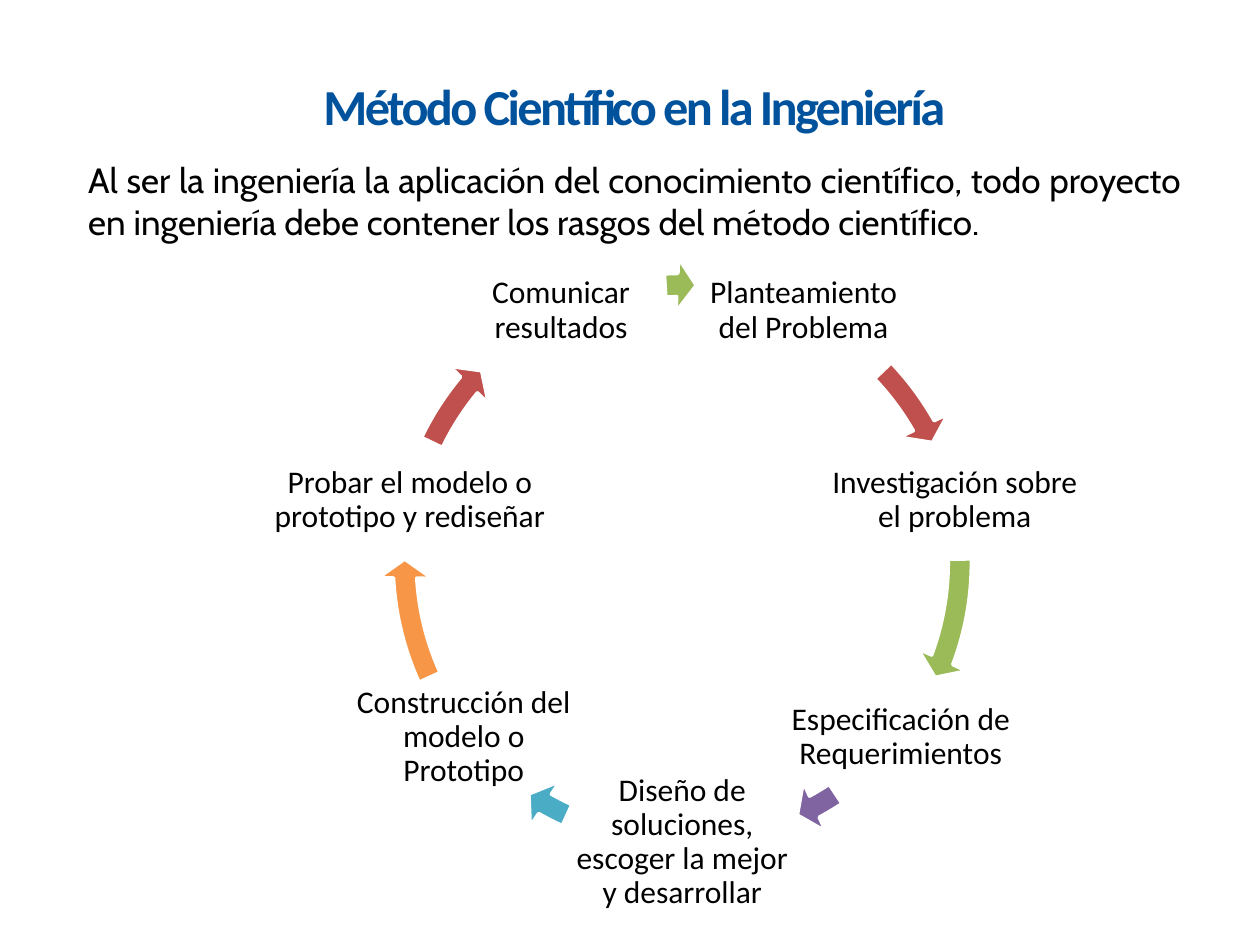
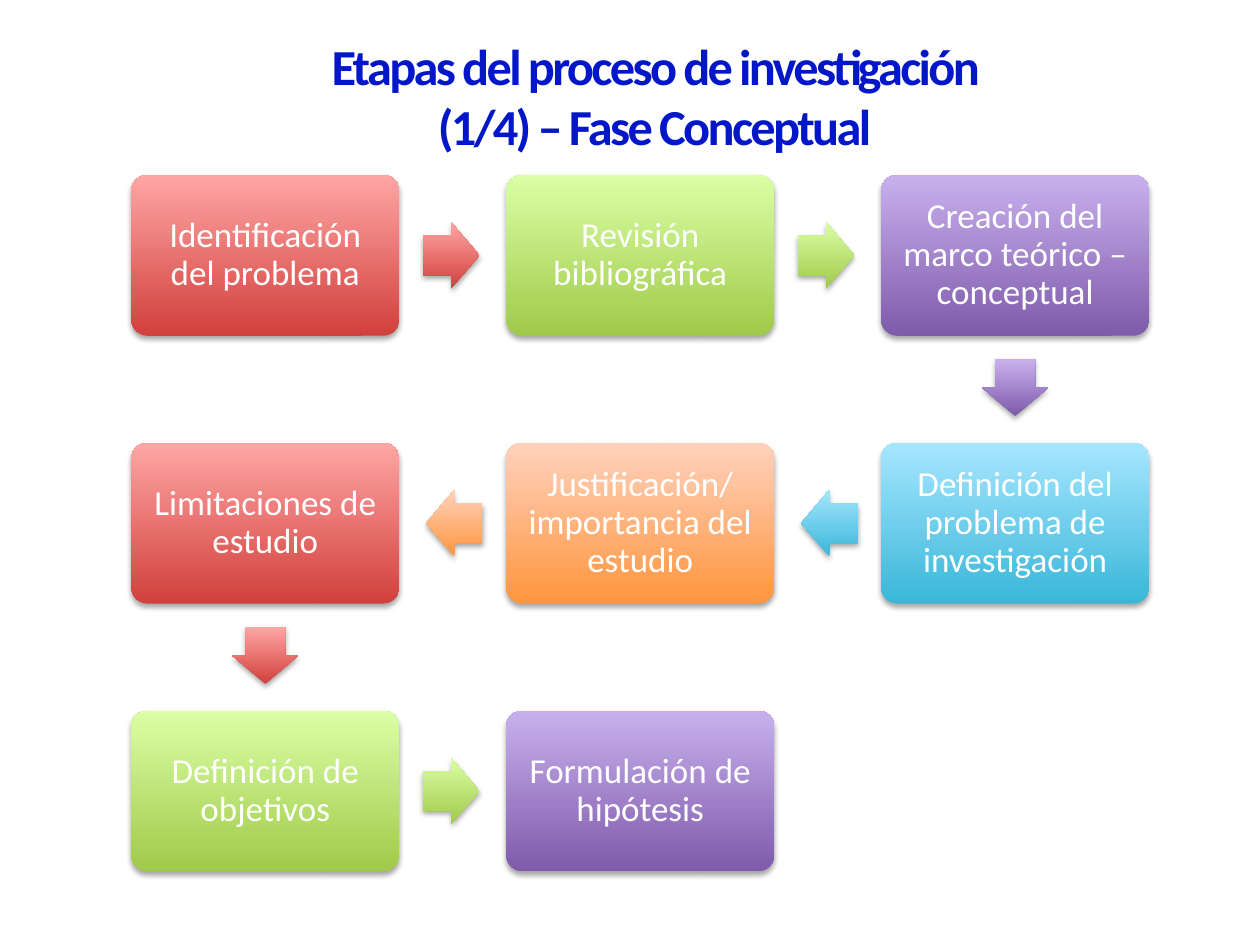
import math
from lxml import etree
from pptx import Presentation
from pptx import util as u
from pptx.dml.color import RGBColor
from pptx.enum import shapes, text
from pptx.oxml import ns

BLACK = RGBColor(0x00, 0x00, 0x00)
WHITE = RGBColor(0xFF, 0xFF, 0xFF)
TITLE_TEAL_BLUE = RGBColor(0x00, 0x52, 0x9C)
TITLE_BRIGHT_BLUE = RGBColor(0x04, 0x17, 0xC8)
RED = RGBColor(0xC0, 0x50, 0x4D)
GREEN = RGBColor(0x9B, 0xBB, 0x59)
PURPLE = RGBColor(0x80, 0x64, 0xA2)
BLUE = RGBColor(0x4B, 0xAC, 0xC6)
ORANGE = RGBColor(0xF7, 0x96, 0x46)
RED_FADE = (RGBColor(0xD1, 0x40, 0x3C), RGBColor(0xFF, 0xA6, 0xA5))
GREEN_FADE = (RGBColor(0xA0, 0xCA, 0x4A), RGBColor(0xDA, 0xFF, 0xA5))
PURPLE_FADE = (RGBColor(0x7F, 0x5B, 0xAB), RGBColor(0xC8, 0xB0, 0xED))
BLUE_FADE = (RGBColor(0x39, 0xB7, 0xD8), RGBColor(0xA7, 0xE6, 0xFF))
ORANGE_FADE = (RGBColor(0xFF, 0x95, 0x3E), RGBColor(0xFF, 0xD2, 0xBD))

FONT = "Calibri"
BODY_FONT = "Cabin"

METHOD_STEPS = [
    ("Planteamiento del Problema", 122.4, RED, 316.29, 330.46),
    ("Investigación sobre el problema", 146.2, GREEN, 359.28, 20.52),
    ("Especificación de Requerimientos", 163.4, PURPLE, 56.46, 61.58),
    ("Diseño de soluciones, escoger la mejor y desarrollar", 132.5, BLUE, 114.52, 119.63),
    ("Construcción del modelo o Prototipo", 139, ORANGE, 155.57, 176.81),
    ("Probar el modelo o prototipo y rediseñar", 193, RED, 205.63, 219.8),
    ("Comunicar resultados", 118.8, GREEN, 266.46, 268.98),
]

RIGHT, DOWN, LEFT = 0, 90, 180
STAGES = [
    ("Identificación del problema", 0, 0, RED_FADE, RIGHT),
    ("Revisión bibliográfica", 1, 0, GREEN_FADE, RIGHT),
    ("Creación del marco teórico – conceptual", 2, 0, PURPLE_FADE, DOWN),
    ("Definición del problema de investigación", 2, 1, BLUE_FADE, LEFT),
    ("Justificación/importancia del estudio", 1, 1, ORANGE_FADE, LEFT),
    ("Limitaciones de estudio", 0, 1, RED_FADE, DOWN),
    ("Definición de objetivos", 0, 2, GREEN_FADE, RIGHT),
    ("Formulación de hipótesis", 1, 2, PURPLE_FADE, None),
]


def in_points(*lengths):
    return [u.Pt(length) for length in lengths]


def move(shape, box):
    shape.left, shape.top, shape.width, shape.height = in_points(*box)


def write(shape, words, size, color, align=text.PP_ALIGN.CENTER,
          anchor=text.MSO_ANCHOR.MIDDLE, font=FONT, inset=None, spacing=None):
    frame = shape.text_frame
    frame.text = words
    frame.word_wrap = True
    frame.auto_size = text.MSO_AUTO_SIZE.NONE
    frame.vertical_anchor = anchor
    if inset is not None:
        frame.margin_left = frame.margin_right = u.Pt(inset)
        frame.margin_top = frame.margin_bottom = u.Pt(inset)
    paragraph = frame.paragraphs[0]
    paragraph.alignment = align
    if spacing:
        paragraph.line_spacing = spacing
    run = paragraph.runs[0]
    run.font.name = font
    run.font.size = u.Pt(size)
    run.font.color.rgb = color
    return paragraph


def add_title(slide, words, color, left, top):
    title = slide.shapes.title
    move(title, (left, top, 402.5, 57))
    run = write(title, words, 28.8, color).runs[0]
    run.font.bold = True
    run._r.get_or_add_rPr().set("spc", "-150")


def add_introduction(slide, words, box):
    body = slide.placeholders[1]
    move(body, box)
    paragraph = write(body, words, 20, BLACK, text.PP_ALIGN.JUSTIFY,
                      text.MSO_ANCHOR.TOP, BODY_FONT)
    properties = paragraph._p.get_or_add_pPr()
    properties.set("marL", "0")
    properties.set("indent", "0")
    etree.SubElement(properties, ns.qn("a:buNone"))


def add_cycle(slide, steps, box):
    left, top, side = box
    center_x, center_y = left + side / 2, top + side / 2
    radius, label_height = 159.7, 67
    step_angle = 360 / len(steps)
    for index, (words, width, color, start, end) in enumerate(steps):
        angle = math.radians(-90 + step_angle * (index + 0.5))
        label = slide.shapes.add_textbox(*in_points(
            center_x + radius * math.cos(angle) - width / 2,
            center_y + radius * math.sin(angle) - label_height / 2,
            width, label_height))
        write(label, words, 18, BLACK, inset=1.8, spacing=0.9)
        arrow = slide.shapes.add_shape(
            shapes.MSO_SHAPE.CIRCULAR_ARROW, *in_points(left, top, side, side))
        for position, value in enumerate((0.038, 2.346, end * 0.6, start * 0.6, 0.044)):
            arrow.adjustments[position] = value
        arrow.shadow.inherit = False
        arrow.fill.solid()
        arrow.fill.fore_color.rgb = color
        arrow.line.color.rgb = WHITE
        arrow.line.width = u.Pt(2)


def add_glossy_shape(slide, kind, box, fade):
    shape = slide.shapes.add_shape(kind, *in_points(*box))
    shape.fill.gradient()
    shape.fill.gradient_angle = 90
    for stop, color in zip(shape.fill.gradient_stops, fade):
        stop.color.rgb = color
    shape.line.fill.background()
    shape.shadow.inherit = False
    properties = shape._element.spPr
    properties.find(ns.qn("a:gradFill")).set("rotWithShape", "0")
    shadow = etree.SubElement(
        properties.find(ns.qn("a:effectLst")), ns.qn("a:outerShdw"),
        blurRad="40000", dist="23000", dir="5400000", rotWithShape="0")
    shadow_color = etree.SubElement(shadow, ns.qn("a:srgbClr"), val=str(BLACK))
    etree.SubElement(shadow_color, ns.qn("a:alpha"), val="35000")
    return shape


def add_stage_grid(slide, stages, box):
    left, top, width, height = box
    card_width, card_height = 153.2, 91.9
    arrow_length, arrow_width, arrow_gap = 32.4, 38, 13.4
    column_step = (width - card_width) / 2
    row_step = (height - card_height) / 2
    for words, column, row, fade, direction in stages:
        card_left, card_top = left + column * column_step, top + row * row_step
        card = add_glossy_shape(slide, shapes.MSO_SHAPE.ROUNDED_RECTANGLE,
                                (card_left, card_top, card_width, card_height), fade)
        card.adjustments[0] = 0.1
        write(card, words, 20, WHITE, inset=6, spacing=0.9)
        if direction is None:
            continue
        half_card = (card_height if direction == DOWN else card_width) / 2
        reach = half_card + arrow_gap + arrow_length / 2
        angle = math.radians(direction)
        arrow_x = card_left + card_width / 2 + reach * math.cos(angle)
        arrow_y = card_top + card_height / 2 + reach * math.sin(angle)
        arrow = add_glossy_shape(
            slide, shapes.MSO_SHAPE.RIGHT_ARROW,
            (arrow_x - arrow_length / 2, arrow_y - arrow_width / 2,
             arrow_length, arrow_width), fade)
        arrow.adjustments[0] = 0.6
        arrow.adjustments[1] = 0.5
        arrow.rotation = direction


def build_method_slide(presentation):
    slide = presentation.slides.add_slide(presentation.slide_layouts[1])
    add_title(slide, "Método Científico en la Ingeniería", TITLE_TEAL_BLUE, 161.3, 31.7)
    add_cycle(slide, METHOD_STEPS, (216, 147.6, 347.8))
    add_introduction(
        slide,
        "Al ser la ingeniería la aplicación del conocimiento científico, todo proyecto "
        "en ingeniería debe contener los rasgos del método científico.",
        (43.2, 87, 639.4, 93))


def build_stages_slide(presentation):
    slide = presentation.slides.add_slide(presentation.slide_layouts[5])
    add_title(slide, "Etapas del proceso de investigación (1/4) – Fase Conceptual",
              TITLE_BRIGHT_BLUE, 172.8, 26)
    add_stage_grid(slide, STAGES, (75, 100, 581.7, 398))


def main():
    presentation = Presentation()
    presentation.slide_width, presentation.slide_height = in_points(720, 540)
    build_method_slide(presentation)
    build_stages_slide(presentation)
    presentation.save("out.pptx")


if __name__ == "__main__":
    main()
